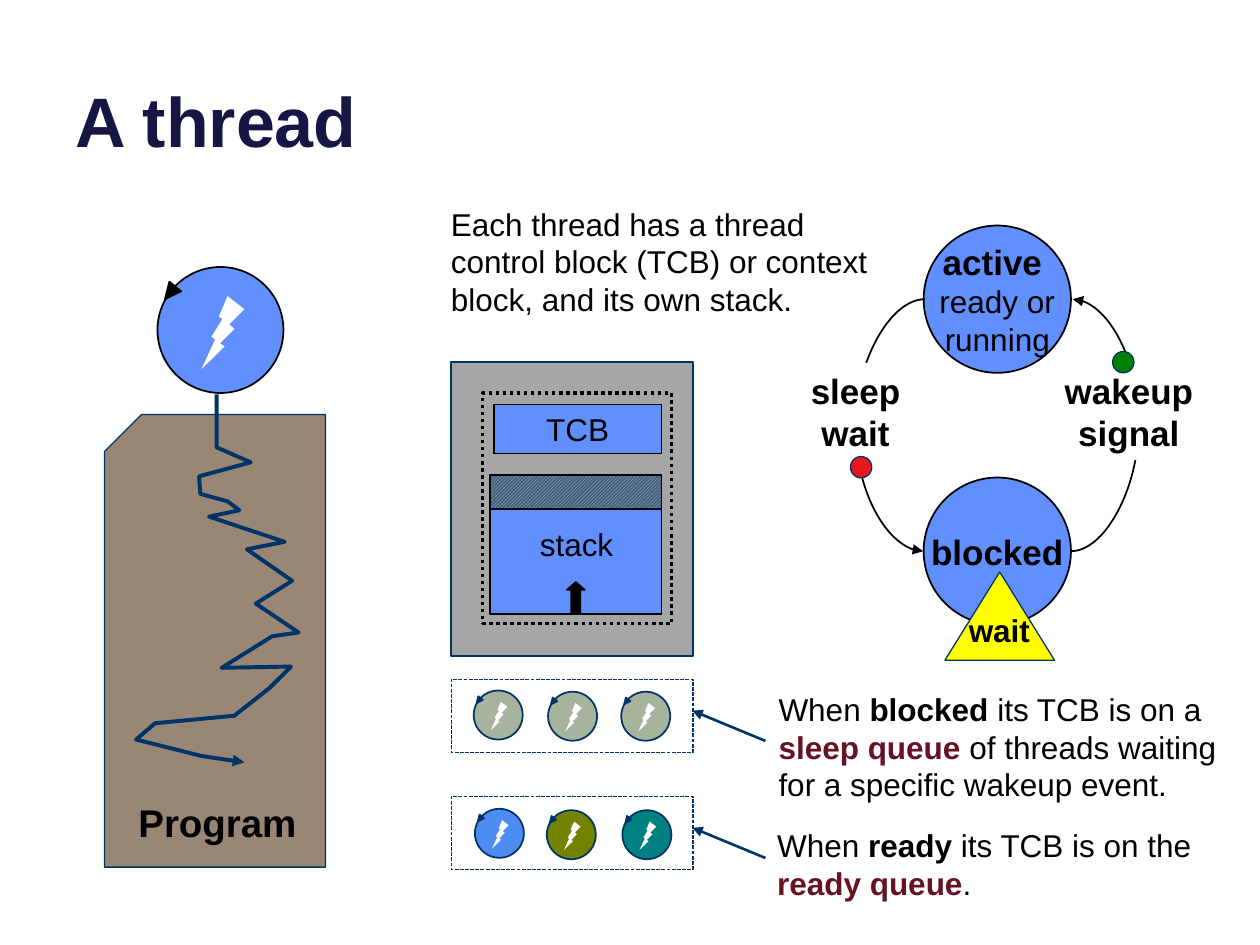
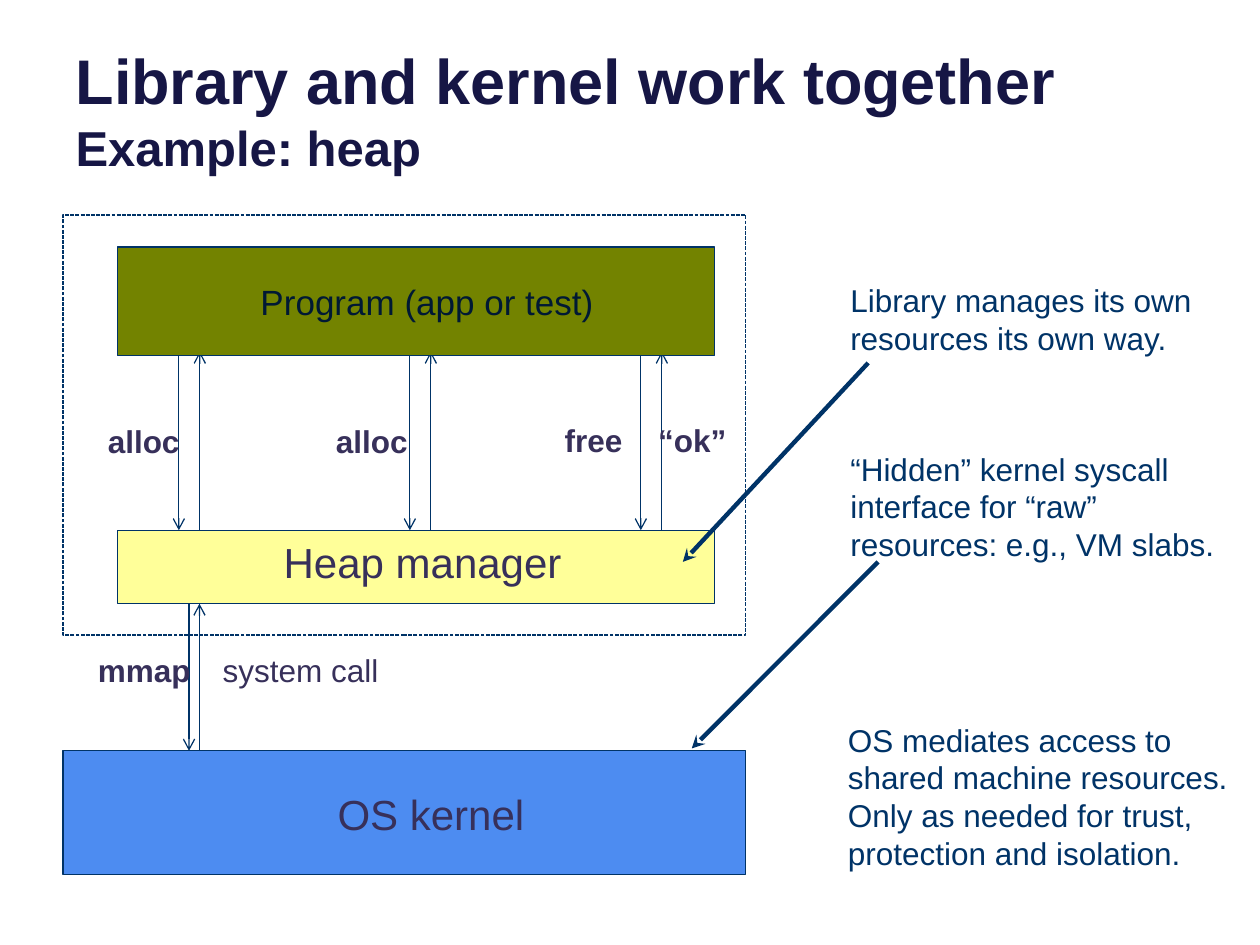
from lxml.etree import SubElement
from pptx import Presentation
from pptx.dml.color import RGBColor
from pptx.enum.dml import MSO_LINE, MSO_PATTERN
from pptx.enum.shapes import MSO_CONNECTOR, MSO_SHAPE
from pptx.enum.text import MSO_ANCHOR, MSO_AUTO_SIZE, PP_ALIGN
from pptx.oxml.ns import qn
from pptx.util import Pt

FONT = "Arial"
NAVY, INK, BLACK, WHITE = "003367", "161645", "000000", "FFFFFF"
BLUE, SKY, OLIVE, SAGE, TEAL = "618FFD", "4D8CF1", "738300", "A8B39D", "008080"
YELLOW, PALE, PLUM, WINE = "FFFF00", "FFFF99", "37305A", "651222"
rgb = RGBColor.from_string


def box(kind, left, top, width, height, fill=None, edge=None, wide=0.75, dash=None,
        text="", size=18, hue=BLACK, bold=False, align=PP_ALIGN.LEFT,
        anchor=MSO_ANCHOR.TOP, wrap=True):
    """Add a shape to the current slide, or a text box if kind is None."""
    area = Pt(left), Pt(top), Pt(width), Pt(height)
    if kind is None:
        shape = slide.shapes.add_textbox(*area)
    else:
        shape = slide.shapes.add_shape(kind, *area)
        shape.shadow.inherit = False
        if fill:
            shape.fill.solid()
            shape.fill.fore_color.rgb = rgb(fill)
        else:
            shape.fill.background()
        if edge:
            shape.line.color.rgb = rgb(edge)
            shape.line.width = Pt(wide)
            shape.line.dash_style = dash
        else:
            shape.line.fill.background()
    if text:
        frame = shape.text_frame
        frame.text = text
        frame.word_wrap = wrap
        frame.vertical_anchor = anchor
        for par in frame.paragraphs:
            par.alignment = align
            for run in par.runs:
                run.font.name = FONT
                run.font.size = Pt(size)
                run.font.bold = bold
                run.font.color.rgb = rgb(hue)
    return shape


def point(wire, wide, tip, hue=NAVY):
    """Style a line and put an arrowhead at its end."""
    wire.line.color.rgb = rgb(hue)
    wire.line.width = Pt(wide)
    props = wire._element.spPr
    SubElement(props.find(qn("a:ln")), qn("a:tailEnd"), type=tip)
    SubElement(props, qn("a:effectLst"))


deck = Presentation()
deck.slide_width, deck.slide_height = Pt(720), Pt(540)
slides = []
for words, top, sizes in [
    ("A thread", -26.6, [40]),
    ("Library and kernel work together\vExample: heap", -18, [36, 28]),
]:
    slide = deck.slides.add_slide(deck.slide_layouts[5])
    slides.append(slide)
    title = slide.shapes.title
    title.left, title.top, title.width, title.height = Pt(36), Pt(top), Pt(648), Pt(122.4)
    frame = title.text_frame
    frame.text = words
    frame.auto_size = MSO_AUTO_SIZE.NONE
    frame.vertical_anchor = MSO_ANCHOR.BOTTOM
    frame.paragraphs[0].alignment = PP_ALIGN.LEFT
    for run, size in zip(frame.paragraphs[0].runs, sizes):
        run.font.name = FONT
        run.font.size = Pt(size)
        run.font.bold = True
        run.font.color.rgb = rgb(INK)

mid = {"align": PP_ALIGN.CENTER, "anchor": MSO_ANCHOR.MIDDLE}

# Slide 1: program and its path of control
slide = slides[0]
page = box(MSO_SHAPE.SNIP_1_RECTANGLE, 59.8, 236.9, 126.2, 258.6, "998674", NAVY)
page._element.spPr.xfrm.set("flipH", "1")
trail = [
    (123.8, 225.4), (123.8, 255.6), (143.3, 264.2), (113.8, 272.2), (114.5, 282.2),
    (130.3, 286.6), (136.8, 291.6), (119.5, 295.2), (162.7, 309.6), (141.1, 313.9),
    (167, 331.9), (146.2, 344.9), (170.6, 361.4), (155.5, 363.6), (126.7, 381.6),
    (166.3, 380.9), (154.1, 393.1), (133.9, 409), (88.6, 413.3), (77.8, 422.6),
    (115.2, 432), (139.7, 435.6),
]
spots = [(Pt(x), Pt(y)) for x, y in trail]
pen = slide.shapes.build_freeform(*spots[0])
pen.add_line_segments(spots[1:], close=False)
path = pen.convert_to_shape()
path.fill.background()
point(path, 2.25, "triangle")
box(None, 72, 452.9, 144.7, 33.8, text="Program", size=22, bold=True)

# Thread control block and stack
box(MSO_SHAPE.FLOWCHART_PROCESS, 257.8, 207, 138.2, 168, "A6A6A6", NAVY, 1)
box(MSO_SHAPE.RECTANGLE, 280.1, 290.9, 97.9, 60, BLUE, BLACK, 1)
box(None, 301, 296.6, 56.9, 28.8, text="stack", align=PP_ALIGN.CENTER, wrap=False)
arrow = box(MSO_SHAPE.UP_ARROW, 324, 332.6, 10.1, 18, BLACK, BLACK, 1)
arrow.adjustments[1] = 0.444
used = box(MSO_SHAPE.RECTANGLE, 280.1, 271.4, 97.9, 19.5, BLUE, BLACK, 1)
used.fill.patterned()
used.fill.pattern = MSO_PATTERN.DARK_UPWARD_DIAGONAL
used.fill.fore_color.rgb = rgb("99CCFF")
used.fill.back_color.rgb = rgb("475E76")
box(MSO_SHAPE.RECTANGLE, 282.2, 231.1, 95.8, 28.1, BLUE, BLACK, 1,
    text="TCB", wrap=False, **mid)
box(MSO_SHAPE.RECTANGLE, 275.8, 224.6, 108, 131.8, None, BLACK, 2, MSO_LINE.ROUND_DOT)

# Thread states
live = box(MSO_SHAPE.OVAL, 527.8, 128.9, 84.2, 84.2, BLUE, BLACK, 1,
           text="active \nready or\nrunning", wrap=False, **mid)
name = live.text_frame.paragraphs[0].runs[0]
name.font.size = Pt(20)
name.font.bold = True
held = box(MSO_SHAPE.OVAL, 527.8, 272.9, 84.2, 84.2, BLUE, BLACK, 1,
           text="blocked", size=20, bold=True, wrap=False, **mid)
cone = box(MSO_SHAPE.FLOWCHART_MERGE, 540, 326.9, 62.6, 50.4, YELLOW, NAVY)
cone._element.spPr.xfrm.set("flipV", "1")
box(None, 546.5, 345.6, 49.7, 28.8, text="wait", bold=True, wrap=False)

for x1, y1, x2, y2, bend, first, last, site in [
    (612, 315, 613, 171, 39, held, live, 6),
    (528.5, 171, 527.5, 315, 40, live, held, 2),
]:
    curve = slide.shapes.add_connector(MSO_CONNECTOR.CURVE, Pt(x1), Pt(y1), Pt(x2), Pt(y2))
    point(curve, 1, "triangle", BLACK)
    guides = curve._element.spPr.find(qn("a:prstGeom")).find(qn("a:avLst"))
    SubElement(guides, qn("a:gd"), name="adj1", fmla=f"val {bend * 100000}")
    joints = curve._element.nvCxnSpPr.cNvCxnSpPr
    for tag, oval in [("a:stCxn", first), ("a:endCxn", last)]:
        SubElement(joints, qn(tag), id=str(oval.shape_id), idx=str(site))

for words, left, x, y, hue in [
    ("sleep\nwait", 437.8, 486, 260.9, "E8161F"),
    ("wakeup\nsignal", 594, 635.8, 200.9, "008000"),
]:
    box(MSO_SHAPE.RECTANGLE, left, 207.4, 102.2, 55.4, WHITE,
        text=words, size=20, bold=True, **mid)
    box(MSO_SHAPE.OVAL, x, y, 12.2, 12.2, hue, NAVY)

# Queues, and the threads in them
for top, fill in [(388.1, WHITE), (455, None)]:
    box(MSO_SHAPE.RECTANGLE, 257.8, top, 138.2, 41.8, fill, NAVY, 0.75, MSO_LINE.SQUARE_DOT)
    wire = slide.shapes.add_connector(
        MSO_CONNECTOR.STRAIGHT, Pt(437.4), Pt(top + 35.3), Pt(395.6), Pt(top + 18))
    point(wire, 1.5, "triangle")

for left, top, side, fill, edge in [
    (90, 152.6, 72, BLUE, BLACK),
    (270.7, 394.6, 28, SAGE, NAVY),
    (313.2, 395.3, 28, SAGE, NAVY),
    (355, 395.3, 28, SAGE, NAVY),
    (271.4, 462.2, 28, SKY, NAVY),
    (312.5, 463, 28, OLIVE, NAVY),
    (355.7, 463, 28, TEAL, NAVY),
]:
    box(MSO_SHAPE.OVAL, left, top, side, side, fill, edge, 1)
    bolt = box(MSO_SHAPE.LIGHTNING_BOLT, left + 0.35 * side, top + 0.23 * side,
               0.34 * side, 0.58 * side, WHITE)
    bolt._element.spPr.xfrm.set("flipH", "1")
    head = box(MSO_SHAPE.ISOSCELES_TRIANGLE, left + 0.04 * side, top + 0.14 * side,
               0.12 * side, 0.13 * side, edge, edge, 1)
    head.rotation = 219

box(None, 250.6, 113, 261.4, 72.7, anchor=MSO_ANCHOR.MIDDLE,
    text="Each thread has a thread control block (TCB) or context block, and its own stack.")
for left, top, height, parts in [
    (437.8, 390.2, 72.7, ["When ", "blocked", " its TCB is on a ", "sleep queue",
                          " of threads waiting for a specific wakeup event."]),
    (437, 468, 51.1, ["When ", "ready", " its TCB is on the ", "ready queue", "."]),
]:
    note = box(None, left, top, 275.8, height, text=parts[0], anchor=MSO_ANCHOR.MIDDLE)
    for spot, part in enumerate(parts[1:], 1):
        run = note.text_frame.paragraphs[0].add_run()
        run.text = part
        run.font.name = FONT
        run.font.size = Pt(18)
        run.font.bold = spot % 2 == 1
        run.font.color.rgb = rgb(WINE if spot == 3 else BLACK)

# Slide 2: calls between the layers
slide = slides[1]
calls = [(1.5 + x, y1, y2) for x in (100.7, 232.7, 364.7)
         for x, y1, y2 in [(x, 201, 303), (x + 12, 303, 201)]]
for x, y1, y2 in calls + [(108, 345, 429), (114, 429, 345)]:
    wire = slide.shapes.add_connector(MSO_CONNECTOR.STRAIGHT, Pt(x), Pt(y1), Pt(x), Pt(y2))
    point(wire, 0.75, "arrow")

for left, top, width, height, fill in [
    (36, 429, 390.2, 70.6, SKY),
    (67, 303, 341.3, 41.8, PALE),
    (67, 141.1, 341.3, 61.9, OLIVE),
]:
    box(MSO_SHAPE.RECTANGLE, left, top, width, height, fill, NAVY)
box(MSO_SHAPE.RECTANGLE, 36, 122.9, 390.2, 240, None, NAVY, 0.75, MSO_LINE.SQUARE_DOT)

for words, left, top, width, size, hue in [
    ("Heap manager", 155, 303.1, 175, 24, PLUM),
    ("OS kernel", 185.8, 447.1, 122.4, 24, PLUM),
    ("Program (app or test)", 141.8, 157, 206.6, 20, "001934"),
    ("system call", 120.2, 368.6, 104.4, 18, PLUM),
]:
    box(None, left, top, width, 1.5 * size, text=words, size=size, hue=hue, wrap=False)

for words, left, top, width in [
    ("alloc", 54, 237.4, 56.2),
    ("alloc", 184.3, 237.4, 56.2),
    ("free", 315.4, 236.9, 47.5),
    ("“ok”", 368.6, 236.9, 54),
    ("mmap", 48.2, 368.6, 68.4),
]:
    box(None, left, top, width, 28.8, text=words, hue=PLUM, bold=True,
        align=PP_ALIGN.CENTER, wrap=False)

for words, left, top, width, height in [
    ("Library manages its own resources its own way.", 478.8, 157, 213.8, 51.1),
    ("“Hidden” kernel syscall interface for “raw” resources: e.g., VM slabs.",
     478.8, 253.4, 231.1, 72.7),
    ("OS mediates access to shared machine resources. "
     "Only as needed for trust, protection and isolation.", 477.4, 408.2, 240, 94.3),
]:
    box(None, left, top, width, height, text=words, hue=NAVY)

for x1, y1, x2, y2 in [(496.1, 207.4, 390.2, 321.1), (501.8, 321.1, 395.3, 427.7)]:
    wire = slide.shapes.add_connector(MSO_CONNECTOR.STRAIGHT, Pt(x1), Pt(y1), Pt(x2), Pt(y2))
    point(wire, 2.5, "stealth")

deck.save("out.pptx")
